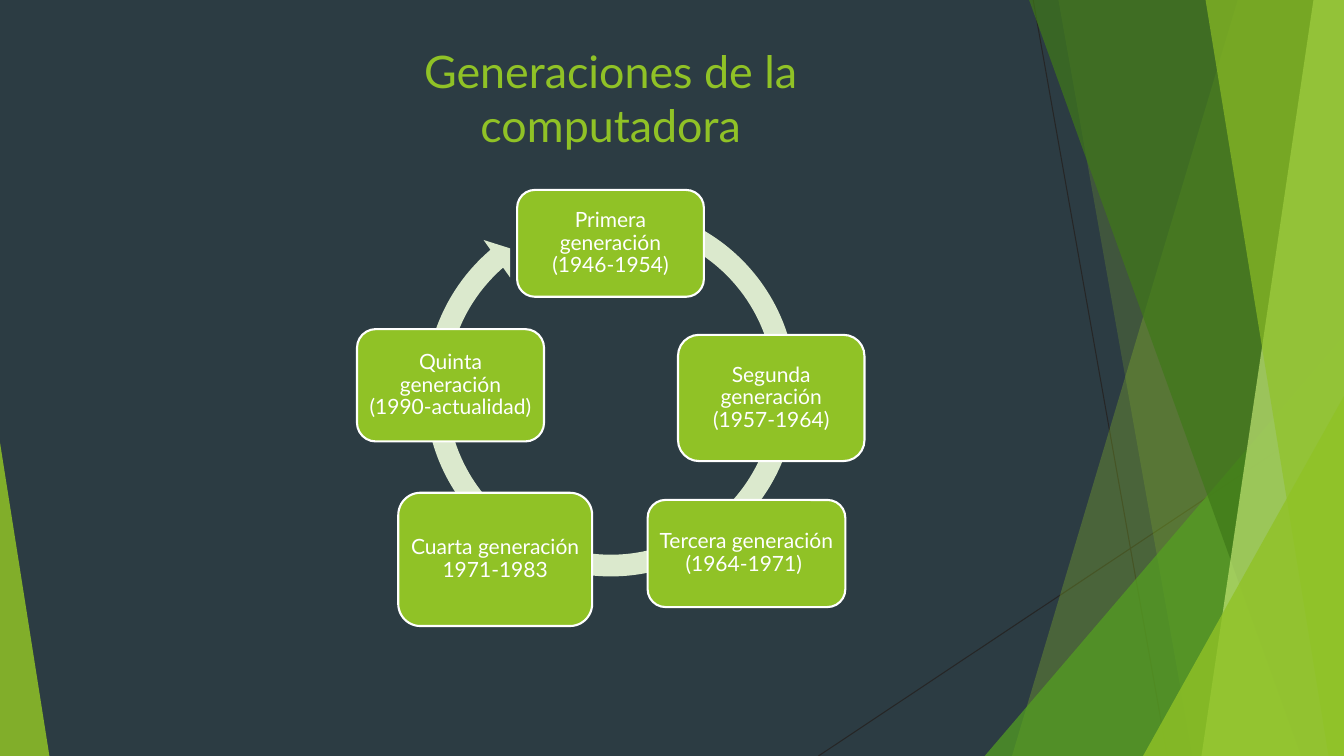
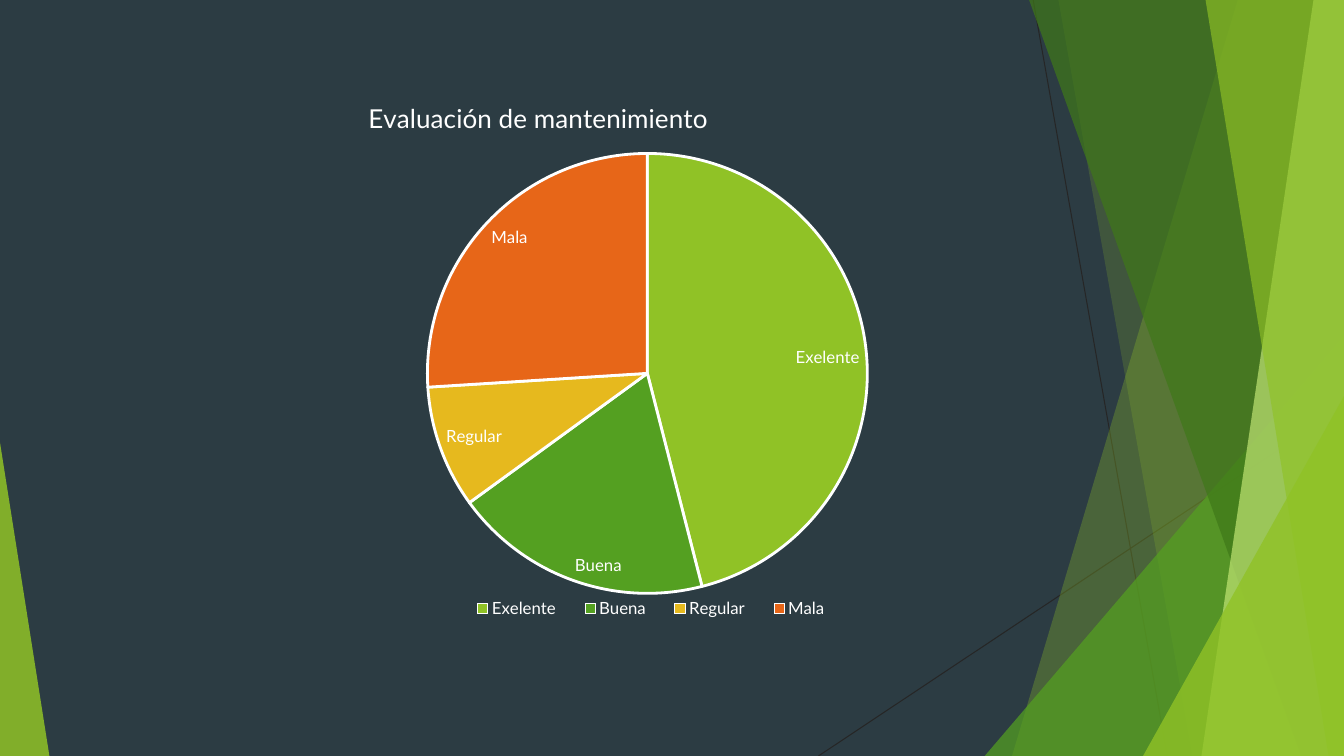
from dataclasses import dataclass
from typing import Any

from lxml.etree import SubElement
from pptx import Presentation
from pptx.chart.data import CategoryChartData
from pptx.dml.color import RGBColor
from pptx.enum.chart import XL_CHART_TYPE, XL_LABEL_POSITION, XL_LEGEND_POSITION
from pptx.enum.shapes import MSO_CONNECTOR, MSO_SHAPE
from pptx.enum.text import MSO_ANCHOR, PP_ALIGN
from pptx.oxml import parse_xml
from pptx.oxml.ns import nsdecls, qn
from pptx.util import Pt

WIDTH, HEIGHT = 960, 540
FONT = "Lato"
BACKGROUND, LIME, GREEN, FOREST = "2C3C43", "90C226", "54A021", "3F7819"
PALE, MINT, YELLOW, ORANGE = "C0E474", "DBE9CD", "E6B91E", "E76618"
WHITE, CHARCOAL = "FFFFFF", "262626"


@dataclass(frozen=True)
class Band:
    """A full-height band that runs to the right edge."""
    top_left: float
    bottom_left: float
    color: str
    opacity: int


@dataclass(frozen=True)
class Wedge:
    """A triangle that stands on the bottom edge."""
    left: float
    top: float
    width: float
    apex: float
    color: str
    opacity: int


@dataclass(frozen=True)
class Stage:
    """One box of the generation cycle."""
    text: str
    left: float
    top: float
    width: float
    height: float


@dataclass(frozen=True)
class Slice:
    """One slice of the rating pie."""
    name: str
    value: int
    color: str


THIN_LINES = ((738, 0, 833.8, HEIGHT), (WIDTH, 290.2, 584.6, HEIGHT))
FACETS = (
    Band(884.2, 722.9, LIME, 30),
    Band(756, 851.8, LIME, 20),
    Wedge(703.4, 239.8, 256.6, 1, GREEN, 72),
    Band(735.1, 929.5, FOREST, 70),
    Band(938.2, 858.2, PALE, 70),
    Band(861.1, 949, LIME, 65),
    Wedge(816.5, 283, 143.5, 1, LIME, 80),
    Wedge(0, 316.1, 35.3, 0, LIME, 85),
)
STAGES = (
    Stage("Primera generación (1946-1954)", 369.4, 135.7, 133.4, 76.3),
    Stage("Segunda generación (1957-1964)", 484.3, 239.2, 133.2, 90.2),
    Stage("Tercera generación (1964-1971)\u00a0", 462.6, 357.1, 141.2, 76.5),
    Stage("Cuarta generación 1971-1983", 284.5, 352, 138.5, 95.2),
    Stage("Quinta generación (1990-actualidad)", 255, 235.1, 133.6, 80.2),
)
SLICES = (
    Slice("Exelente", 46, LIME),
    Slice("Buena", 19, GREEN),
    Slice("Regular", 9, YELLOW),
    Slice("Mala", 26, ORANGE),
)


def rgb(color: str) -> RGBColor:
    """Turn a hex string into a colour."""
    return RGBColor.from_string(color)


def assign(target: Any, values: dict[str, Any]) -> None:
    """Set each named attribute on the target."""
    for name, value in values.items():
        setattr(target, name, value)


def points(*lengths: float) -> list[int]:
    """Turn point values into slide lengths."""
    return [Pt(length) for length in lengths]


def style_font(font: Any, size: float, color: str = WHITE) -> None:
    """Give a font the shared face with a size and colour."""
    assign(font, {"name": FONT, "size": Pt(size), "bold": False})
    font.color.rgb = rgb(color)


def paint(shape: Any, color: str, opacity: int = 100) -> None:
    """Fill a shape without outline or shadow."""
    shape.shadow.inherit = False
    shape.fill.solid()
    shape.fill.fore_color.rgb = rgb(color)
    shape.line.fill.background()
    if opacity < 100:
        value = next(shape._element.spPr.iter(qn("a:srgbClr")))
        SubElement(value, qn("a:alpha"), val=str(opacity * 1000))


def outline(line: Any, color: str, width: float) -> None:
    """Give a line its colour and width."""
    line.color.rgb = rgb(color)
    line.width = Pt(width)


def write(shape: Any, text: str, size: float, color: str,
          frame_format: dict[str, Any], spacing: float = 1.0) -> None:
    """Put one centred paragraph in a shape."""
    frame = shape.text_frame
    assign(frame, {"word_wrap": True, **frame_format})
    para = frame.paragraphs[0]
    assign(para, {"alignment": PP_ALIGN.CENTER, "line_spacing": spacing})
    span = para.add_run()
    span.text = text
    style_font(span.font, size, color)


def draw_band(page: Any, band: Band) -> None:
    """Draw a slanted band."""
    builder = page.shapes.build_freeform(*points(band.top_left, 0))
    corners = ((WIDTH, 0), (WIDTH, HEIGHT), (band.bottom_left, HEIGHT))
    builder.add_line_segments([points(*corner) for corner in corners], close=True)
    paint(builder.convert_to_shape(), band.color, band.opacity)


def draw_wedge(page: Any, wedge: Wedge) -> None:
    """Draw a triangle down to the bottom edge."""
    triangle = page.shapes.add_shape(
        MSO_SHAPE.ISOSCELES_TRIANGLE,
        *points(wedge.left, wedge.top, wedge.width, HEIGHT - wedge.top))
    triangle.adjustments[0] = wedge.apex
    paint(triangle, wedge.color, wedge.opacity)


def add_page(deck: Any) -> Any:
    """Add a slide with the shared background and facets."""
    page = deck.slides.add_slide(deck.slide_layouts[6])
    page.background.fill.solid()
    page.background.fill.fore_color.rgb = rgb(BACKGROUND)
    for ends in THIN_LINES:
        line = page.shapes.add_connector(MSO_CONNECTOR.STRAIGHT, *points(*ends))
        outline(line.line, CHARCOAL, 0.75)
        SubElement(line._element.spPr, qn("a:effectLst"))
    for facet in FACETS:
        if isinstance(facet, Band):
            draw_band(page, facet)
        else:
            draw_wedge(page, facet)
    return page


def add_title(page: Any, text: str) -> None:
    """Write the slide title."""
    title = page.shapes.add_textbox(*points(284.4, 24.5, 303.8, 87.1))
    write(title, text, 32, LIME, {"vertical_anchor": MSO_ANCHOR.BOTTOM})


def add_cycle(page: Any) -> None:
    """Draw the circular arrow and its stages."""
    ring = page.shapes.add_shape(MSO_SHAPE.CIRCULAR_ARROW,
                                 *points(295.2, 138.2, 282.2, 282.2))
    for index, value in enumerate((0.055, 3.307, 137.548, 173.988, 0.058)):
        ring.adjustments[index] = value
    paint(ring, MINT)
    margins = dict.fromkeys(
        ("margin_left", "margin_top", "margin_right", "margin_bottom"), Pt(4.2))
    frame_format = {"vertical_anchor": MSO_ANCHOR.MIDDLE, **margins}
    for stage in STAGES:
        box = page.shapes.add_shape(
            MSO_SHAPE.ROUNDED_RECTANGLE,
            *points(stage.left, stage.top, stage.width, stage.height))
        paint(box, LIME)
        outline(box.line, WHITE, 1.5)
        write(box, stage.text, 15, WHITE, frame_format, 0.9)


def set_layout(parent: Any, index: int, values: dict[str, Any]) -> None:
    """Give a chart part a manual layout."""
    for old in parent.findall(qn("c:layout")):
        parent.remove(old)
    layout = parse_xml(f"<c:layout {nsdecls('c')}><c:manualLayout/></c:layout>")
    for name, value in values.items():
        SubElement(layout[0], qn(f"c:{name}"), val=str(value))
    parent.insert(index, layout)


def add_rating_chart(page: Any) -> None:
    """Draw the maintenance rating pie."""
    data = CategoryChartData()
    data.categories = [part.name for part in SLICES]
    data.add_series("Series 1", [part.value for part in SLICES])
    chart = page.shapes.add_chart(
        XL_CHART_TYPE.PIE, *points(189.4, 46.8, 540.7, 419), data).chart
    style_font(chart.font, 10)
    edges = {"xMode": "edge", "yMode": "edge"}

    chart.has_title = True
    para = chart.chart_title.text_frame.paragraphs[0]
    span = para.add_run()
    span.text = "Evaluación de mantenimiento"
    style_font(span.font, 18.6)
    set_layout(chart.chart_title._element, 1, {**edges, "x": 0.13, "y": 0.05})

    chart.has_legend = True
    assign(chart.legend, {"position": XL_LEGEND_POSITION.BOTTOM,
                          "include_in_layout": False})
    style_font(chart.legend.font, 12)
    set_layout(chart.legend._element, 1,
               {**edges, "x": 0.25, "y": 0.9, "w": 0.52, "h": 0.05})

    plot = chart.plots[0]
    plot.vary_by_categories = True
    set_layout(chart._chartSpace.chart.plotArea, 0,
               {"layoutTarget": "inner", **edges,
                "x": 0.03, "y": 0.15, "w": 0.95, "h": 0.75})
    series = plot.series[0]
    for index, part in enumerate(SLICES):
        look = series.points[index].format
        look.fill.solid()
        look.fill.fore_color.rgb = rgb(part.color)
        outline(look.line, WHITE, 2)
    labels = series.data_labels
    assign(labels, {"show_category_name": True, "show_value": False,
                    "show_percentage": False,
                    "position": XL_LABEL_POSITION.INSIDE_END})
    style_font(labels.font, 12)


def main() -> None:
    """Build and save the deck."""
    deck = Presentation()
    assign(deck, {"slide_width": Pt(WIDTH), "slide_height": Pt(HEIGHT)})
    page = add_page(deck)
    add_title(page, "Generaciones de la computadora")
    add_cycle(page)
    add_rating_chart(add_page(deck))
    deck.save("out.pptx")


main()
